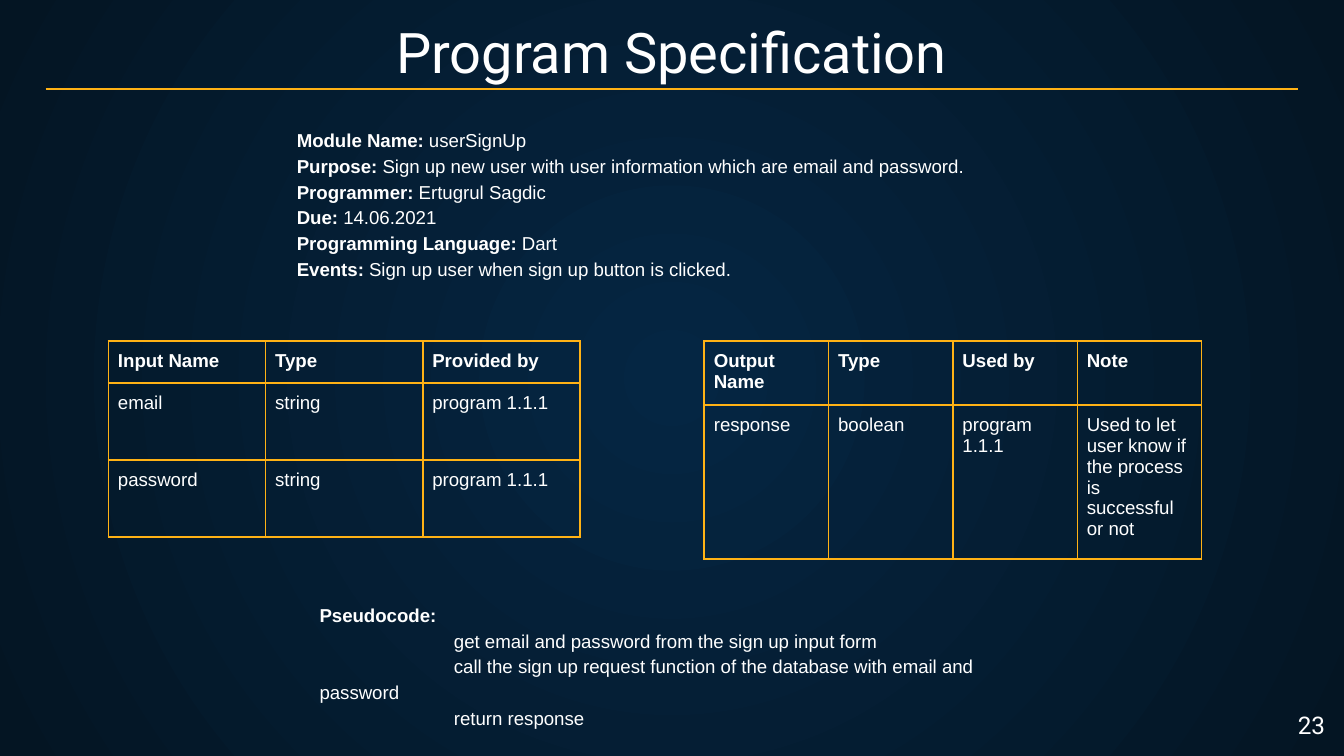
from lxml.etree import SubElement
from pptx import Presentation
from pptx.dml.color import RGBColor
from pptx.enum.shapes import MSO_CONNECTOR
from pptx.enum.text import MSO_ANCHOR, PP_ALIGN
from pptx.oxml.ns import qn
from pptx.util import Cm, Pt

WHITE = RGBColor(0xFF, 0xFF, 0xFF)
GOLD = RGBColor(0xFF, 0xB2, 0x15)
NAVY = RGBColor(0x05, 0x26, 0x43)
NIGHT = RGBColor(0x04, 0x15, 0x23)


def style(run, size=10, face="Arial", bold=False):
    run.font.size = Pt(size)
    run.font.name = face
    run.font.bold = bold
    run.font.color.rgb = WHITE


def add_box(left, top, width, height, anchor=MSO_ANCHOR.TOP):
    box = slide.shapes.add_textbox(Cm(left), Cm(top), Cm(width), Cm(height))
    frame = box.text_frame
    frame.word_wrap = True
    frame.vertical_anchor = anchor
    frame.margin_left = frame.margin_right = Cm(0.25)
    frame.margin_top = frame.margin_bottom = Cm(0.25)
    return frame


deck = Presentation()
deck.slide_width, deck.slide_height = Cm(25.4), Cm(14.29)
slide = deck.slides.add_slide(deck.slide_layouts[5])

fill = slide.background.fill
fill.gradient()
for stop, color in zip(fill.gradient_stops, (NAVY, NIGHT)):
    stop.color.rgb = color
grad = slide.element.find(".//" + qn("a:gradFill"))
grad.remove(grad.find(qn("a:lin")))
shade = SubElement(grad, qn("a:path"), {"path": "circle"})
SubElement(shade, qn("a:fillToRect"), dict.fromkeys("ltrb", "50000"))

title = slide.shapes.title
title.left, title.top, title.width, title.height = Cm(0.86), Cm(0.18), Cm(23.67), Cm(1.68)
frame = title.text_frame
frame.text = "Program Specification"
frame.vertical_anchor = MSO_ANCHOR.BOTTOM
frame.margin_top = frame.margin_bottom = Cm(0.25)
frame.paragraphs[0].alignment = PP_ALIGN.CENTER
style(frame.paragraphs[0].runs[0], 30, "Roboto")

rule = slide.shapes.add_connector(MSO_CONNECTOR.STRAIGHT, Cm(0.86), Cm(1.68), Cm(24.53), Cm(1.68))
rule.line.color.rgb = GOLD
rule.line.width = Pt(0.75)
SubElement(rule.element.spPr, qn("a:effectLst"))

number = add_box(23.77, 13.18, 1.52, 1.09).paragraphs[0]
number.text = "23"
number.alignment = PP_ALIGN.RIGHT
style(number.runs[0], 13, "Roboto")

inputs = [
    ["Input Name", "Type", "Provided by"],
    ["email", "string", "program 1.1.1"],
    ["password", "string", "program 1.1.1"],
]
outputs = [
    ["Output Name", "Type", "Used by", "Note"],
    ["response", "boolean", "program 1.1.1",
     "Used to let user know if the process is successful or not"],
]
for left, wide, heights, data in (
    (2.05, 2.97, (0.75, 1.46, 1.46), inputs),
    (13.31, 2.35, (1.12, 2.32), outputs),
):
    count = len(data[0])
    table = slide.shapes.add_table(
        len(data), count, Cm(left), Cm(6.45), Cm(wide * count), Cm(sum(heights))
    ).table
    table.horz_banding = False
    for column in table.columns:
        column.width = Cm(wide)
    for i, (row, height, words) in enumerate(zip(table.rows, heights, data)):
        row.height = Cm(height)
        for cell, word in zip(row.cells, words):
            cell.text = word
            style(cell.text_frame.paragraphs[0].runs[0], bold=i == 0)
            cell.margin_left = cell.margin_right = Cm(0.18)
            cell.margin_top = cell.margin_bottom = Cm(0.18)
            props = cell._tc.get_or_add_tcPr()
            for side in ("lnL", "lnR", "lnT", "lnB"):
                edge = SubElement(props, qn("a:" + side), w=str(Pt(1)))
                solid = SubElement(edge, qn("a:solidFill"))
                SubElement(solid, qn("a:srgbClr"), val=str(GOLD))
            cell.fill.background()

facts = [
    ("Module Name:", "userSignUp"),
    ("Purpose:", "Sign up new user with user information which are email and password."),
    ("Programmer:", "Ertugrul Sagdic"),
    ("Due:", "14.06.2021"),
    ("Programming Language:", "Dart"),
    ("Events:", "Sign up user when sign up button is clicked."),
]
frame = add_box(5.36, 2.16, 14.71, 3.35, MSO_ANCHOR.MIDDLE)
for i, (label, value) in enumerate(facts):
    para = frame.add_paragraph() if i else frame.paragraphs[0]
    para.line_spacing = 1.15
    for text, bold in ((label, True), (" " + value, False)):
        run = para.add_run()
        run.text = text
        style(run, bold=bold)

frame = add_box(5.79, 11.1, 13.82, 2.41)
frame.text = "\n".join((
    "Pseudocode:",
    "get email and password from the sign up input form",
    "call the sign up request function of the database with email and password",
    "return response",
))
for i, para in enumerate(frame.paragraphs):
    para.line_spacing = 1.15
    style(para.runs[0], bold=i == 0)
    if i:
        para._p.get_or_add_pPr().set("indent", str(Cm(2.54)))

deck.save("out.pptx")
